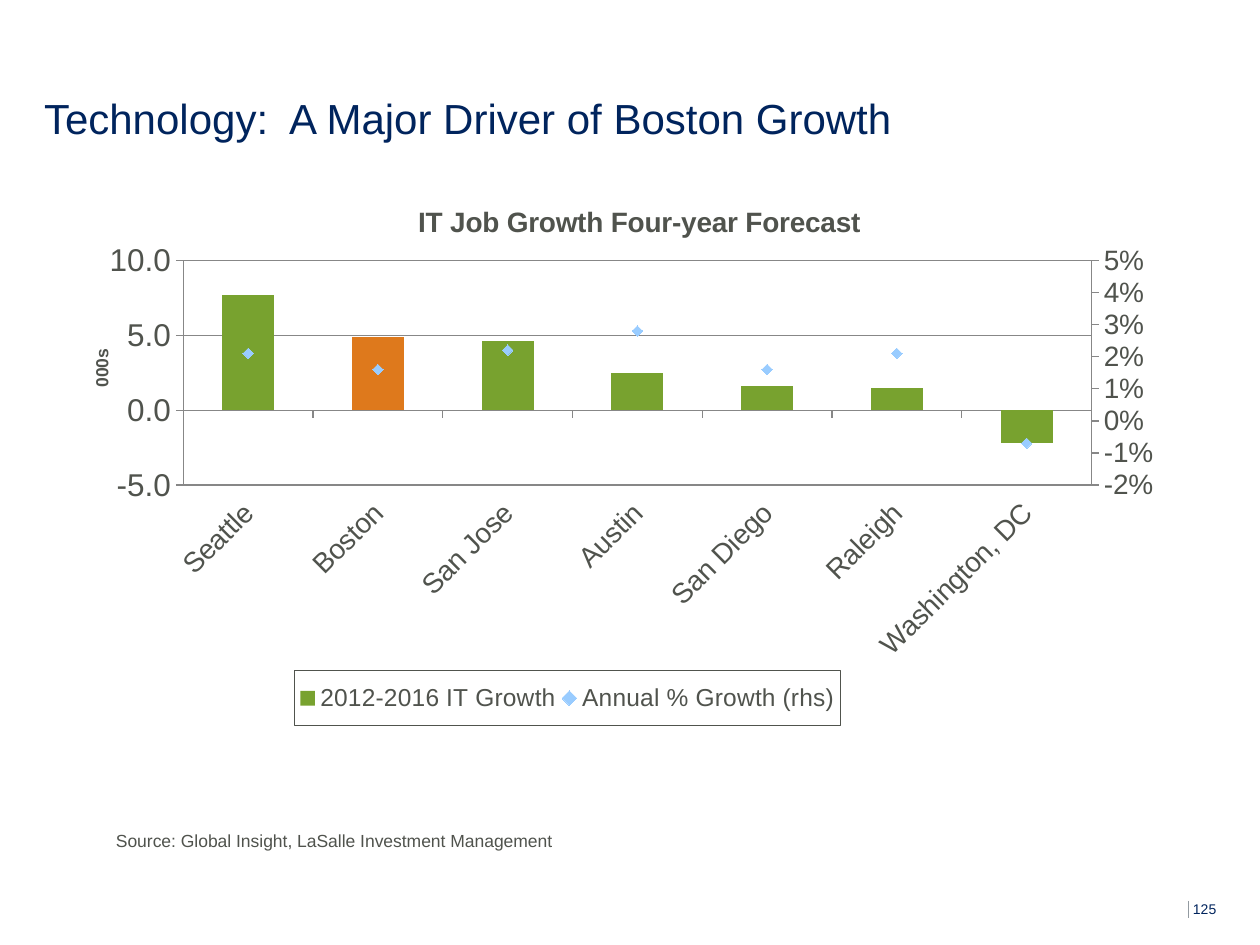
from dataclasses import dataclass
from typing import Optional

from pptx import Presentation
from pptx import util as u
from pptx.chart import data as chart_data
from pptx.dml.color import RGBColor
from pptx.enum import chart as charts, shapes, text
from pptx.oxml import parse_xml
from pptx.oxml.ns import nsdecls, qn

EMU_PER_PX = 914400 / 126
FONT = "Arial"
COLOURS = {
    "navy": "00245D",
    "grey": "50534D",
    "rule": "939BA1",
    "grid": "878787",
    "green": "78A22F",
    "orange": "DE791C",
    "sky": "99CCFF",
}

CITIES = ["Seattle", "Boston", "San Jose", "Austin", "San Diego", "Raleigh", "Washington, DC"]
JOB_GROWTH = [7.7, 4.9, 4.6, 2.5, 1.6, 1.5, -2.2]
ANNUAL_GROWTH = [0.021, 0.016, 0.022, 0.028, 0.016, 0.021, -0.007]


@dataclass(frozen=True)
class Label:
    wording: str
    box: tuple[int, int, int, int]
    size: int
    colour: str
    anchor: text.MSO_ANCHOR = text.MSO_ANCHOR.TOP
    wrap: bool = True


@dataclass(frozen=True)
class ValueScale:
    low: float
    high: float
    step: float
    number_format: str


TITLE = Label("Technology:  A Major Driver of Boston Growth", (44, 96, 1172, 47), 24, "navy",
              text.MSO_ANCHOR.BOTTOM)
LABELS = [
    Label("125", (1193, 901, 50, 26), 8, "navy"),
    Label("Source: Global Insight, LaSalle Investment Management", (116, 830, 605, 33), 10, "grey",
          wrap=False),
]
JOBS_SCALE = ValueScale(-4, 10, 2, "#,##0")
PERCENT_SCALE = ValueScale(-0.02, 0.05, 0.01, "0%")


def px(length: int) -> u.Emu:
    return u.Emu(round(length * EMU_PER_PX))


def rgb(name: str) -> RGBColor:
    return RGBColor.from_string(COLOURS[name])


def set_all(target, values: dict) -> None:
    for name, value in values.items():
        setattr(target, name, value)


def set_font(font, size: int, colour: str, bold: bool = False) -> None:
    set_all(font, {"name": FONT, "size": u.Pt(size), "bold": bold})
    font.color.rgb = rgb(colour)


def set_line(line, colour: str, width: float) -> None:
    line.color.rgb = rgb(colour)
    line.width = u.Pt(width)


def write_label(shape, label: Label) -> None:
    left, top, width, height = map(px, label.box)
    set_all(shape, {"left": left, "top": top, "width": width, "height": height})
    frame = shape.text_frame
    set_all(frame, {
        "margin_left": 0, "margin_top": 0, "margin_right": 0, "margin_bottom": 0,
        "word_wrap": label.wrap, "vertical_anchor": label.anchor,
        "auto_size": text.MSO_AUTO_SIZE.NONE,
    })
    paragraph = frame.paragraphs[0]
    paragraph.alignment = text.PP_ALIGN.LEFT
    run = paragraph.add_run()
    run.text = label.wording
    set_font(run.font, label.size, label.colour)


def add_rule(slide) -> None:
    """Draw the short rule before the page number."""
    rule = slide.shapes.add_connector(shapes.MSO_CONNECTOR.STRAIGHT,
                                      px(1188), px(901), px(1188), px(918))
    set_line(rule.line, "rule", 0.5)
    rule.element.spPr.append(parse_xml(f"<a:effectLst {nsdecls('a')}/>"))


def place(part, x: float, y: float, size: Optional[tuple[float, float]] = None,
          inner: bool = False) -> None:
    """Give a chart part a manual layout, in fractions of the chart."""
    values = {"layoutTarget": "inner"} if inner else {}
    values |= {"xMode": "edge", "yMode": "edge", "x": x, "y": y}
    if size:
        values |= {"w": size[0], "h": size[1]}
    settings = "".join(f'<c:{name} val="{value}"/>' for name, value in values.items())
    for layout in part.findall(qn("c:layout")):
        part.remove(layout)
    position = 0 if part.tag == qn("c:plotArea") else 1
    part.insert(position, parse_xml(
        f"<c:layout {nsdecls('c')}><c:manualLayout>{settings}</c:manualLayout></c:layout>"))


def write_chart_title(title, wording: str, size: int, x: float, y: float) -> None:
    paragraph = title.text_frame.paragraphs[0]
    run = paragraph.add_run()
    run.text = wording
    set_font(run.font, size, "grey", bold=True)
    place(title.element, x, y)


def format_axis(axis, scale: Optional[ValueScale] = None) -> None:
    set_all(axis, {"major_tick_mark": charts.XL_TICK_MARK.OUTSIDE,
                   "minor_tick_mark": charts.XL_TICK_MARK.NONE})
    set_line(axis.format.line, "grid", 0.75)
    set_font(axis.tick_labels.font, 16, "grey")
    if scale:
        set_all(axis, {"minimum_scale": scale.low, "maximum_scale": scale.high,
                       "major_unit": scale.step})
        set_all(axis.tick_labels, {"number_format": scale.number_format,
                                   "number_format_is_linked": False})


def move_to_right_axis(chart) -> None:
    """Turn the second column series into a line series on its own axes."""
    plot_area = chart.element.xpath(".//c:plotArea")[0]
    bar_plot = plot_area.find(qn("c:barChart"))
    series = bar_plot.findall(qn("c:ser"))[1]
    for flag in series.findall(qn("c:invertIfNegative")):
        series.remove(flag)
    line_plot = parse_xml(
        f'<c:lineChart {nsdecls("c")}><c:grouping val="standard"/><c:varyColors val="0"/>'
        '<c:marker val="1"/><c:axId val="5001"/><c:axId val="5002"/></c:lineChart>')
    line_plot.insert(2, series)
    bar_plot.addnext(line_plot)

    def axis_xml(kind: str, own: int, other: int, deleted: int, side: str, crosses: str):
        return parse_xml(
            f'<c:{kind} {nsdecls("c")}><c:axId val="{own}"/>'
            '<c:scaling><c:orientation val="minMax"/></c:scaling>'
            f'<c:delete val="{deleted}"/><c:axPos val="{side}"/><c:tickLblPos val="nextTo"/>'
            f'<c:crossAx val="{other}"/><c:crosses val="{crosses}"/></c:{kind}>')

    last_axis = plot_area.findall(qn("c:valAx"))[-1]
    right_axis = axis_xml("valAx", 5002, 5001, 0, "r", "max")
    last_axis.addnext(right_axis)
    right_axis.addnext(axis_xml("catAx", 5001, 5002, 1, "b", "autoZero"))


def add_growth_chart(slide) -> None:
    data = chart_data.CategoryChartData()
    data.categories = CITIES
    data.add_series("2012-2016 IT Growth", JOB_GROWTH, "0.0")
    data.add_series("Annual % Growth (rhs)", ANNUAL_GROWTH, "0.0%")
    chart = slide.shapes.add_chart(charts.XL_CHART_TYPE.COLUMN_CLUSTERED,
                                   px(68), px(176), px(1131), px(578), data).chart
    set_font(chart.font, 18, "grey")
    move_to_right_axis(chart)
    place(chart.element.xpath(".//c:plotArea")[0], 0.102, 0.146, (0.803, 0.389), inner=True)
    write_chart_title(chart.chart_title, "IT Job Growth Four-year Forecast", 16, 0.305, 0.04)
    chart.chart_title.element.find(qn("c:overlay")).set("val", "1")

    columns, markers = chart.plots
    set_all(columns, {"gap_width": 150, "vary_by_categories": False})
    jobs, annual = columns.series[0], markers.series[0]
    jobs.invert_if_negative = False
    for target, colour in ((jobs, "green"), (jobs.points[CITIES.index("Boston")], "orange")):
        target.format.fill.solid()
        target.format.fill.fore_color.rgb = rgb(colour)
    annual.smooth = False
    annual.format.line.fill.background()
    set_all(annual.marker, {"style": charts.XL_MARKER_STYLE.DIAMOND, "size": 6})
    annual.marker.format.fill.solid()
    annual.marker.format.fill.fore_color.rgb = rgb("sky")
    annual.marker.format.line.fill.background()

    category_axis, value_axis = chart.category_axis, chart.value_axis
    format_axis(category_axis)
    category_axis.tick_label_position = charts.XL_TICK_LABEL_POSITION.LOW
    category_axis._element.find(qn("c:txPr")).find(qn("a:bodyPr")).set("rot", "-2700000")
    format_axis(value_axis, JOBS_SCALE)
    set_line(value_axis.major_gridlines.format.line, "grid", 0.75)
    write_chart_title(value_axis.axis_title, "000s", 10, 0.017, 0.294)
    value_axis.axis_title.element.xpath(".//a:bodyPr")[0].set("rot", "-5400000")
    right_axis = type(value_axis)(chart.element.xpath(".//c:valAx")[1])
    format_axis(right_axis, PERCENT_SCALE)

    chart.has_legend = True
    set_all(chart.legend, {"position": charts.XL_LEGEND_POSITION.BOTTOM,
                           "include_in_layout": False})
    set_font(chart.legend.font, 14, "grey")
    legend = chart.element.xpath(".//c:legend")[0]
    place(legend, 0.2, 0.856, (0.483, 0.095))
    legend.find(qn("c:overlay")).addnext(parse_xml(
        f'<c:spPr {nsdecls("c", "a")}><a:ln w="9525"><a:solidFill>'
        f'<a:srgbClr val="{COLOURS["grey"]}"/></a:solidFill></a:ln></c:spPr>'))


def main() -> None:
    presentation = Presentation()
    set_all(presentation, {"slide_width": u.Inches(10), "slide_height": u.Inches(7.5)})
    slide = presentation.slides.add_slide(presentation.slide_layouts[5])
    add_rule(slide)
    write_label(slide.shapes.title, TITLE)
    add_growth_chart(slide)
    for label in LABELS:
        write_label(slide.shapes.add_textbox(0, 0, 0, 0), label)
    presentation.save("out.pptx")


if __name__ == "__main__":
    main()
